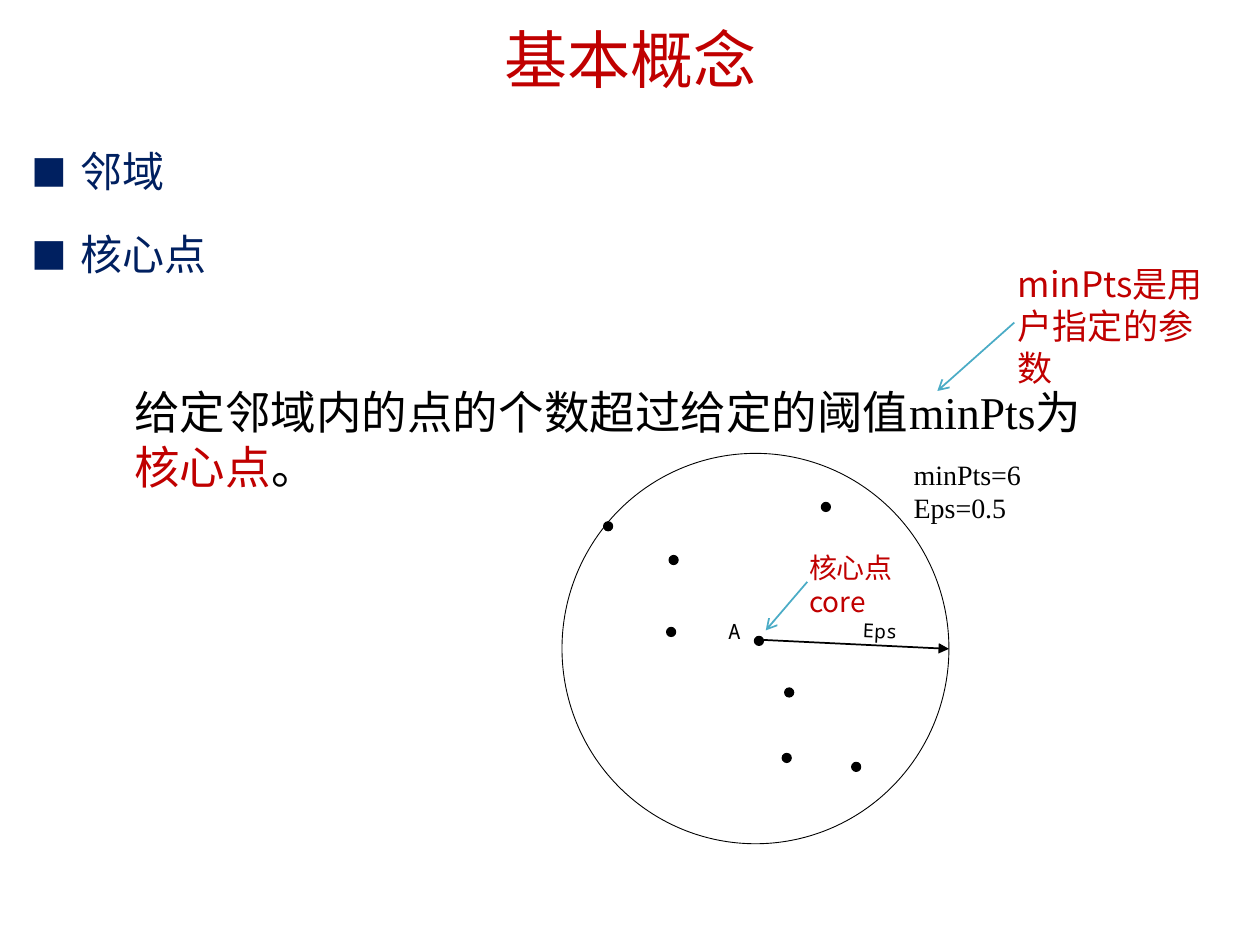
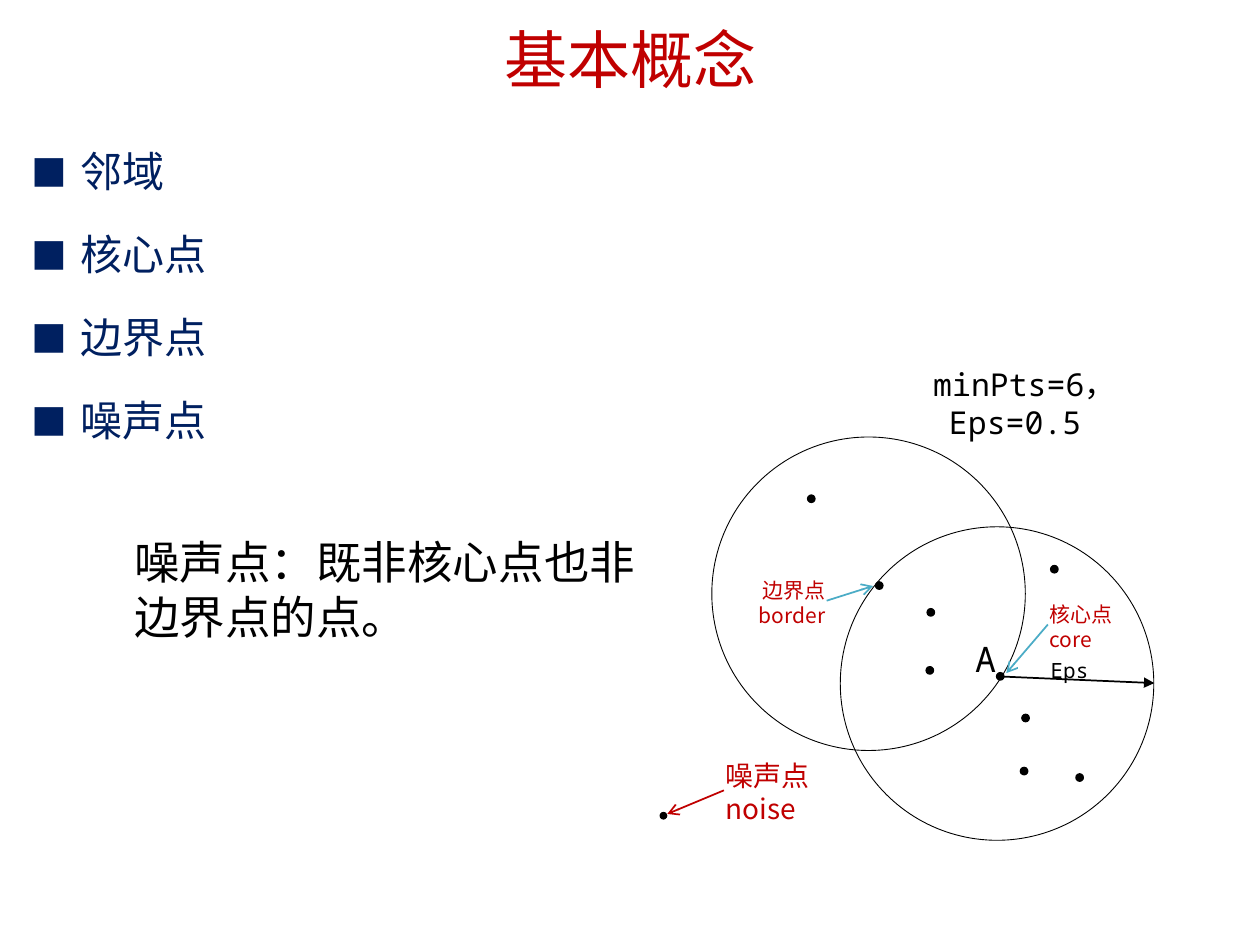
import pptx
import pptx.util
import pptx.dml.color
import pptx.enum.shapes
import pptx.enum.text
import pptx.oxml.ns
import lxml.etree

Cm = pptx.util.Cm
Pt = pptx.util.Pt
RGBColor = pptx.dml.color.RGBColor
MSO_SHAPE = pptx.enum.shapes.MSO_SHAPE
ALIGN = pptx.enum.text.PP_ALIGN
ANCHOR = pptx.enum.text.MSO_ANCHOR
qn = pptx.oxml.ns.qn

RED = RGBColor(0xC0, 0x00, 0x00)
NAVY = RGBColor(0x00, 0x20, 0x60)
BLACK = RGBColor(0x00, 0x00, 0x00)
TEAL = RGBColor(0x4B, 0xAC, 0xC6)
SERIF = "Times New Roman"
SANS = "Noto Sans CJK SC"
MONO = "Noto Sans Mono"


def write(tf, paras, size, font, color, align=ALIGN.LEFT, spacing=None, before=0):
    tf.word_wrap = True
    tf.auto_size = pptx.enum.text.MSO_AUTO_SIZE.NONE
    for i, runs in enumerate(paras):
        p = tf.paragraphs[0] if i == 0 else tf.add_paragraph()
        p.alignment = align
        p.space_before = Pt(before if i else 0)
        if spacing:
            p.line_spacing = spacing
        for text, run_color in [(runs, color)] if isinstance(runs, str) else runs:
            r = p.add_run()
            r.text = text
            r.font.size = Pt(size)
            r.font.color.rgb = run_color
            r.font.name = font
            lxml.etree.SubElement(r.font._element, qn("a:ea"), typeface=SANS)


def set_insets(tf, left, top, right, bottom):
    tf.margin_left, tf.margin_top = Cm(left), Cm(top)
    tf.margin_right, tf.margin_bottom = Cm(right), Cm(bottom)


prs = pptx.Presentation()
prs.slide_width = Cm(25.4)
prs.slide_height = Cm(19.05)

topics = ["邻域", "核心点", "边界点", "噪声点"]
slides = []
for count in (2, 4):
    s = prs.slides.add_slide(prs.slide_layouts[1])
    slides.append(s)

    sp = s.shapes.title
    sp.left, sp.top, sp.width, sp.height = Cm(0), Cm(0), Cm(25.4), Cm(2.26)
    set_insets(sp.text_frame, 0.25, 0.41, 0.25, 0.13)
    sp.text_frame.vertical_anchor = ANCHOR.MIDDLE
    write(sp.text_frame, ["基本概念"], 36, SERIF, RED, ALIGN.CENTER, 0.9)

    sp = s.placeholders[1]
    sp.left, sp.top, sp.width, sp.height = Cm(0.38), Cm(2.51), Cm(24.69), Cm(15.67)
    write(sp.text_frame, topics[:count], 24, SERIF, NAVY, spacing=1.3, before=10)
    for p in sp.text_frame.paragraphs:
        pPr = p._p.get_or_add_pPr()
        pPr.set("marL", str(Cm(0.99)))
        pPr.set("indent", str(-Cm(0.99)))
        lxml.etree.SubElement(pPr, qn("a:buSzPct"), val="85000")
        lxml.etree.SubElement(pPr, qn("a:buFont"), typeface=SANS)
        lxml.etree.SubElement(pPr, qn("a:buChar"), char="■")

core, noise = slides

circles = [
    (core, 11.33, 9.14, 7.8, 7.87),
    (noise, 16.94, 10.62, 6.32, 6.32),
    (noise, 14.35, 8.81, 6.32, 6.32),
]
for s, x, y, w, h in circles:
    sp = s.shapes.add_shape(MSO_SHAPE.OVAL, Cm(x), Cm(y), Cm(w), Cm(h))
    sp.shadow.inherit = False
    sp.fill.background()
    sp.line.color.rgb = BLACK
    sp.line.width = Pt(0.5)

dots = [
    (core, 0.18, [(15.21, 12.83), (12.17, 10.52), (13.44, 12.65), (16.56, 10.13),
                  (15.82, 13.87), (13.49, 11.2), (15.77, 15.19), (17.17, 15.37)]),
    (noise, 0.15, [(20.09, 13.56), (17.65, 11.73), (18.67, 13.44), (21.18, 11.4),
                   (20.6, 14.4), (18.69, 12.27), (20.57, 15.47), (21.69, 15.6),
                   (16.28, 9.98)]),
    (noise, 0.13, [(13.31, 16.38)]),
]
for s, d, points in dots:
    for x, y in points:
        sp = s.shapes.add_shape(MSO_SHAPE.OVAL, Cm(x), Cm(y), Cm(d), Cm(d))
        sp.shadow.inherit = False
        sp.fill.solid()
        sp.fill.fore_color.rgb = BLACK
        sp.line.color.rgb = BLACK
        sp.line.width = Pt(0.75)

radii = [(core, 15.39, 12.9, 19.13, 13.08), (noise, 20.24, 13.64, 23.27, 13.77)]
for s, x1, y1, x2, y2 in radii:
    sp = s.shapes.add_connector(pptx.enum.shapes.MSO_CONNECTOR.STRAIGHT,
                                Cm(x1), Cm(y1), Cm(x2), Cm(y2))
    sp.line.color.rgb = BLACK
    sp.line.width = Pt(1)
    lxml.etree.SubElement(sp.line._get_or_add_ln(), qn("a:tailEnd"), type="triangle")
    lxml.etree.SubElement(sp._element.spPr, qn("a:effectLst"))

labels = [
    (core, 18.42, 9.53, 2.49, 1.04, ["minPts=6", "Eps=0.5"], 16, SERIF, ALIGN.LEFT, None, 0),
    (core, 17.2, 12.52, 1.19, 0.43, ["Eps"], 11, MONO, ALIGN.CENTER, Pt(12), 2.8),
    (core, 14.68, 12.55, 0.53, 0.43, ["A"], 12, MONO, ALIGN.JUSTIFY, Pt(12), 0),
    (noise, 17.91, 8.31, 5.59, 0.58, ["minPts=6，Eps=0.5 "], 18, MONO, ALIGN.CENTER, None, 0),
    (noise, 21.18, 13.34, 1.65, 0.43, ["Eps"], 12, MONO, ALIGN.JUSTIFY, Pt(12), 0),
    (noise, 19.66, 13.21, 0.51, 0.48, ["A"], 20, MONO, ALIGN.JUSTIFY, Pt(12), 0),
]
for s, x, y, w, h, paras, size, font, align, spacing, angle in labels:
    sp = s.shapes.add_textbox(Cm(x), Cm(y), Cm(w), Cm(h))
    sp.rotation = angle
    tf = sp.text_frame
    set_insets(tf, 0, 0, 0.1, 0)
    tf.vertical_anchor = ANCHOR.BOTTOM
    write(tf, paras, size, font, BLACK, align, spacing)

definitions = [
    (core, 7.62, 19.71, [("给定邻域内的点的个数超过给定的阈值minPts为", BLACK),
                         ("核心点", RED), ("。", BLACK)]),
    (noise, 10.64, 11.4, [("噪声点：既非核心点也非边界点的点。", BLACK)]),
]
for s, y, w, runs in definitions:
    sp = s.shapes.add_textbox(Cm(2.46), Cm(y), Cm(w), Cm(2.49))
    write(sp.text_frame, [runs], 26, SERIF, BLACK)

callouts = [
    (core, 20.52, 5.51, 4.24, 2.11, ["minPts是用户指定的参数"], 20, TEAL, 1.125, -0.383, False),
    (core, 16.31, 11, 2.11, 1.55, ["核心点", "core"], 16, TEAL, 1.103, -0.414, False),
    (noise, 21.16, 11.86, 2.11, 1.55, ["核心点", "core"], 12, TEAL, 1.103, -0.414, False),
    (noise, 15.04, 11.38, 1.6, 1.55, ["边界点", "border"], 12, TEAL, 0.28, -0.601, True),
    (noise, 14.63, 15.42, 2.11, 1.09, ["噪声点", "noise"], 16, RED, 0.908, -0.558, False),
]
for s, x, y, w, h, paras, size, color, tip_y, tip_x, flipped in callouts:
    sp = s.shapes.add_shape(MSO_SHAPE.LINE_CALLOUT_1_NO_BORDER, Cm(x), Cm(y), Cm(w), Cm(h))
    sp.shadow.inherit = False
    sp.fill.background()
    sp.line.color.rgb = color
    sp.line.width = Pt(1)
    lxml.etree.SubElement(sp.line._get_or_add_ln(), qn("a:tailEnd"), type="arrow")
    for i, value in enumerate((0.471, -0.017, tip_y, tip_x)):
        sp.adjustments[i] = value
    if flipped:
        sp._element.spPr.find(qn("a:xfrm")).set("flipH", "1")
    tf = sp.text_frame
    set_insets(tf, 0, 0, 0, 0)
    tf.vertical_anchor = ANCHOR.MIDDLE
    write(tf, paras, size, SANS, RED, ALIGN.RIGHT if flipped else ALIGN.LEFT)

prs.save("out.pptx")
